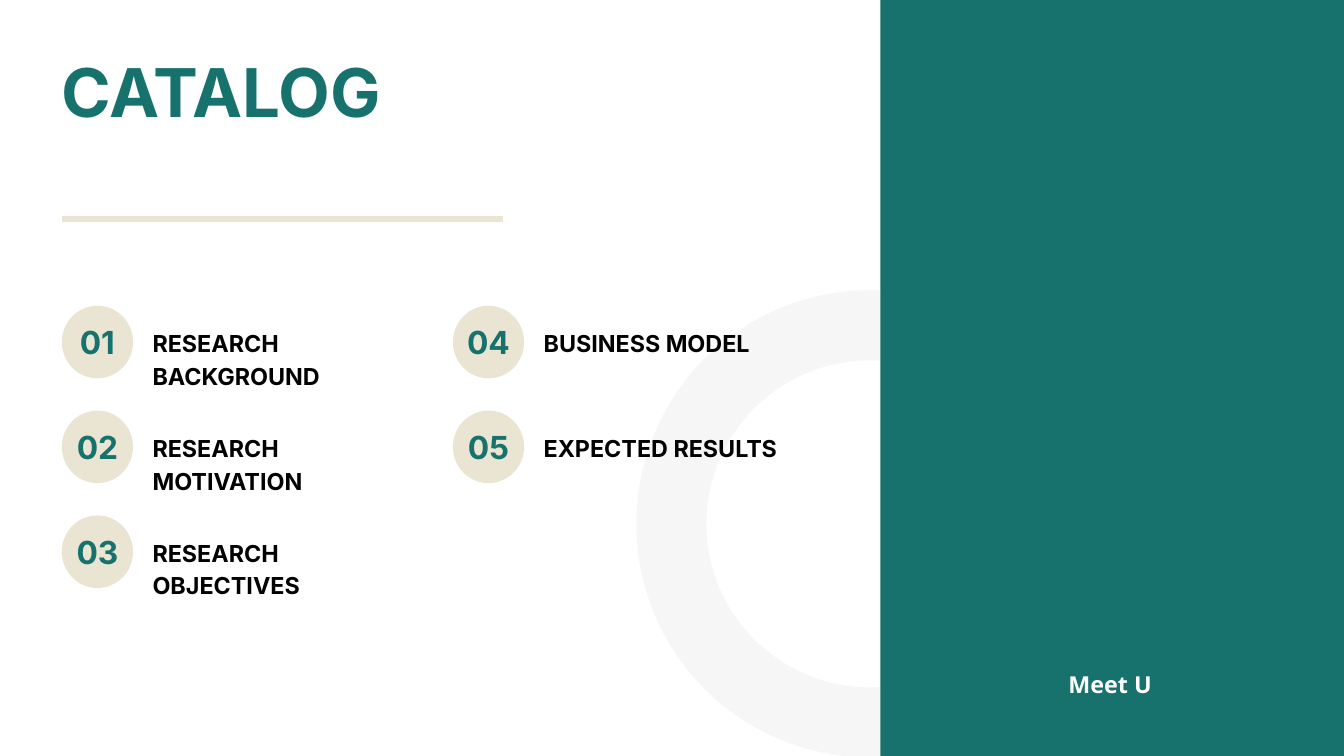
from lxml import etree
from pptx import Presentation, util as u
from pptx.dml.color import RGBColor
from pptx.enum import shapes, text
from pptx.oxml.ns import qn

TEAL = RGBColor(0x17, 0x72, 0x6D)
SAND = RGBColor(0xEA, 0xE4, 0xD2)
PALE = RGBColor(0xF6, 0xF6, 0xF6)
BLACK = RGBColor(0, 0, 0)
WHITE = RGBColor(0xFF, 0xFF, 0xFF)

WIDE, HIGH = 20, 11.25
LEFT, TOP = 0.92, 4.55
COL, ROW = 5.82, 1.56
PER = 3
TOPICS = [
    "RESEARCH BACKGROUND",
    "RESEARCH MOTIVATION",
    "RESEARCH OBJECTIVES",
    "BUSINESS MODEL",
    "EXPECTED RESULTS",
]

deck = Presentation()
deck.slide_width, deck.slide_height = u.Inches(WIDE), u.Inches(HIGH)
slide = deck.slides.add_slide(deck.slide_layouts[6])


def draw(kind, box, fill=None):
    shape = slide.shapes.add_shape(kind, *map(u.Inches, box))
    shape.shadow.inherit = False
    if fill is None:
        shape.fill.background()
    else:
        shape.fill.solid()
        shape.fill.fore_color.rgb = fill
        shape.line.fill.background()
    return shape


def write(words, box, size, lead, color, name="Inter", inset=0, **look):
    frame = slide.shapes.add_textbox(*map(u.Inches, box)).text_frame
    frame.word_wrap = True
    for side in ("left", "top", "right", "bottom"):
        setattr(frame, "margin_" + side, u.Inches(inset))
    para = frame.paragraphs[0]
    para.text = words
    para.line_spacing = u.Pt(lead)
    font = para.runs[0].font
    for key, val in {"size": u.Pt(size), "name": name, "bold": True}.items():
        setattr(font, key, val)
    font.color.rgb = color
    if look.get("center"):
        para.alignment = text.PP_ALIGN.CENTER
        frame.vertical_anchor = text.MSO_ANCHOR.MIDDLE
    else:
        frame.auto_size = text.MSO_AUTO_SIZE.SHAPE_TO_FIT_TEXT


ring = draw(shapes.MSO_SHAPE.OVAL, (9.99, 4.84, 5.91, 5.91))
ring.line.color.rgb = PALE
ring.line.width = u.Pt(75)

edge = 0.655 * WIDE
draw(shapes.MSO_SHAPE.RECTANGLE, (edge, 0, WIDE - edge, HIGH), TEAL)

rule = slide.shapes.add_connector(
    shapes.MSO_CONNECTOR.STRAIGHT, *map(u.Inches, (LEFT, 3.26, 7.49, 3.26))
)
rule.line.color.rgb = SAND
rule.line.width = u.Pt(6)
etree.SubElement(rule._element.spPr, qn("a:effectLst"))

write("CATALOG", (LEFT, 0.9, 7.83, 1.08), 72, 75.6, TEAL)

for i, topic in enumerate(TOPICS):
    x = LEFT + i // PER * COL
    y = TOP + i % PER * ROW
    tall = 0.93 if i < PER else 0.45
    draw(shapes.MSO_SHAPE.OVAL, (x, y, 1.06, 1.08), SAND)
    write(f"{i + 1:02}", (x + 0.1, y + 0.01, 0.86, 0.96), 34, 47.6, TEAL,
          inset=0.05, center=True)
    write(topic, (x + 1.35, y + 0.28, 3.95, tall), 25, 35, BLACK)

write("Meet U", (15.9, 9.91, 3.49, 0.46), 25, 35, WHITE, "Open Sans")

deck.save("out.pptx")
